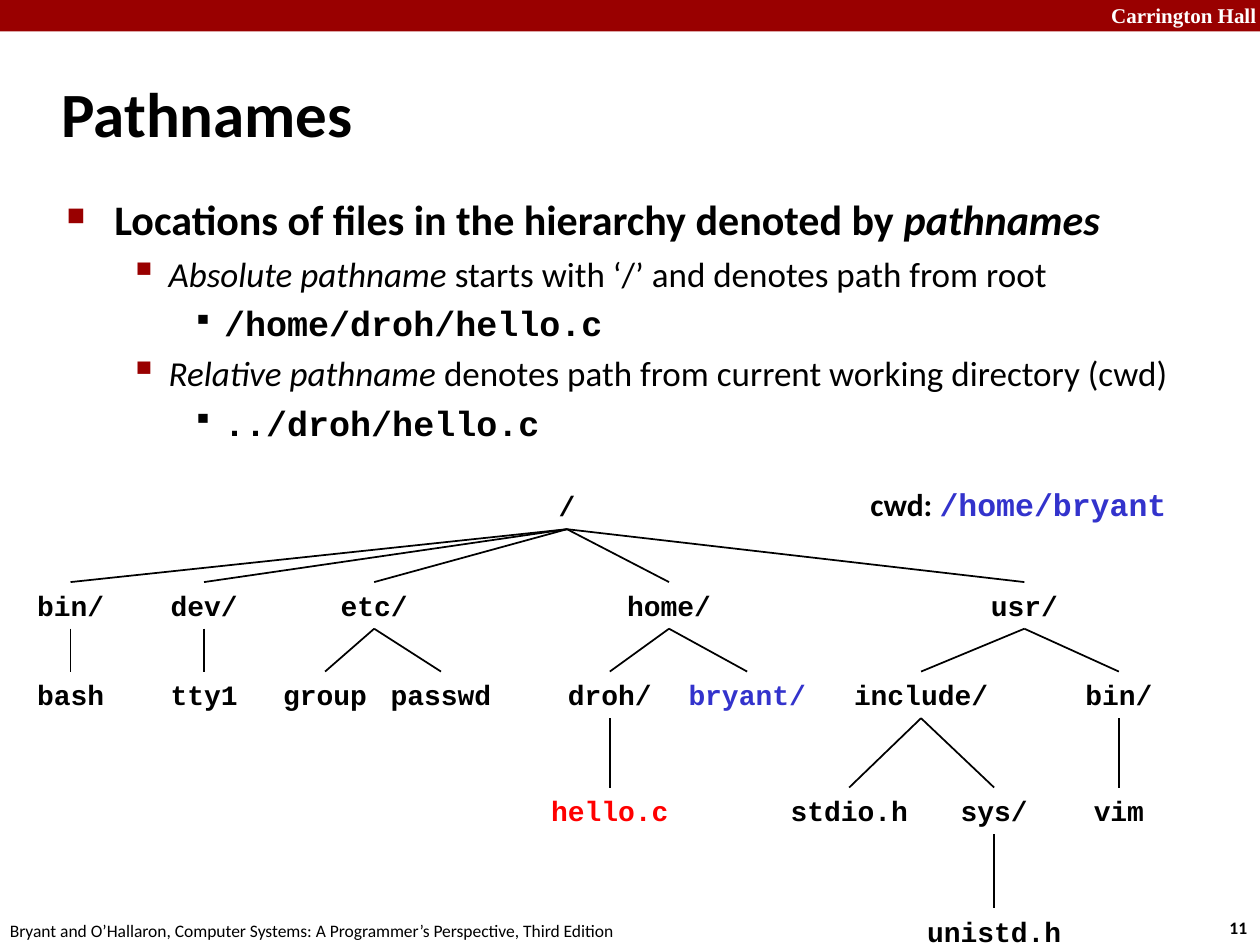
from lxml.etree import SubElement
from pptx import Presentation
from pptx.dml.color import RGBColor
from pptx.enum.shapes import MSO_CONNECTOR, MSO_SHAPE
from pptx.enum.text import MSO_ANCHOR, PP_ALIGN
from pptx.oxml.ns import qn
from pptx.util import Inches, Pt

COLORS = {"red bar": "990000", "white": "FFFFFF", "black": "000000",
          "blue": "3333CC", "red": "FF0000"}
CELL = Inches(0.1)  # the grid has 100 columns and 75 rows

presentation = Presentation()
presentation.slide_width = 100 * CELL
presentation.slide_height = 75 * CELL
slide = presentation.slides.add_slide(presentation.slide_layouts[6])


def add_run(paragraph, text, size, color="black", **formats):
    run = paragraph.add_run()
    run.text = text
    run.font.color.rgb = RGBColor.from_string(COLORS[color])
    for name, value in ({"name": "Calibri", "size": Pt(size)} | formats).items():
        setattr(run.font, name, value)


def add_box(column, row, columns, rows, wrap=False):
    box = slide.shapes.add_textbox(*(round(n * CELL) for n in (column, row, columns, rows)))
    box.text_frame.word_wrap = wrap
    return box.text_frame


# Header bar
bar = slide.shapes.add_shape(MSO_SHAPE.RECTANGLE, 0, 0, 100 * CELL, round(2.5 * CELL))
bar.shadow.inherit = False
bar.fill.solid()
bar.fill.fore_color.rgb = RGBColor.from_string(COLORS["red bar"])
bar.line.fill.background()
header = add_box(86.4, -0.3, 14.3, 3, wrap=True).paragraphs[0]
header.alignment = PP_ALIGN.RIGHT
add_run(header, "Carrington Hall", 12, "white", name="Times New Roman", bold=True)

# Footer and page number
add_run(add_box(-0.2, 72.5, 50.8, 2.7).paragraphs[0],
        "Bryant and O’Hallaron, Computer Systems: A Programmer’s Perspective, Third Edition", 10)
add_run(add_box(96.6, 72.3, 3.7, 2.7).paragraphs[0], "11", 10, bold=True)

# Title
title = add_box(3.9, 4.8, 83, 8.3, wrap=True)
title.vertical_anchor = MSO_ANCHOR.MIDDLE
add_run(title.paragraphs[0], "Pathnames", 36, bold=True)

# Bulleted text: each level has margin, hang, size, bullet, its percentage and colour
LEVELS = [
    (3.8, 3.8, 24, "■", 60, "red bar"),
    (8.1, 3.1, 20, "▪", 110, "red bar"),
    (12.5, 2.5, 20, "▪", 80, "black"),
]
BOLD, ITALIC = {"bold": True}, {"italic": True}
CODE = {"name": "Courier New", "bold": True}
POINTS = [
    (0, [("Locations of files in the hierarchy denoted by ", BOLD),
         ("pathnames", BOLD | ITALIC)]),
    (1, [("Absolute pathname ", ITALIC), ("starts with ‘/’ and denotes path from root", {})]),
    (2, [("/home/droh/hello.c", CODE)]),
    (1, [("Relative pathname ", ITALIC),
         ("denotes path from current working directory (cwd)", {})]),
    (2, [("../droh/hello.c", CODE)]),
]
body = add_box(4.3, 14.9, 93.2, 20.9, wrap=True)
for index, (level, runs) in enumerate(POINTS):
    margin, hang, size, bullet, percent, color = LEVELS[level]
    paragraph = body.add_paragraph() if index else body.paragraphs[0]
    paragraph.level = level
    paragraph.space_before = Pt(round(size * 0.22, 1))
    properties = paragraph._p.get_or_add_pPr()
    properties.set("marL", str(round(margin * CELL)))
    properties.set("indent", str(round(-hang * CELL)))
    bullet_color = SubElement(properties, qn("a:buClr"))
    SubElement(bullet_color, qn("a:srgbClr"), val=COLORS[color])
    SubElement(properties, qn("a:buSzPct"), val=str(percent * 1000))
    SubElement(properties, qn("a:buChar"), char=bullet)
    for text, formats in runs:
        add_run(paragraph, text, size, **formats)

# Current working directory
cwd = add_box(68.1, 38, 26.7, 4).paragraphs[0]
add_run(cwd, "cwd: ", 18, bold=True)
add_run(cwd, "/home/bryant", 18, "blue", **CODE)

# Directory tree: centre column, depth, label, index of the parent
ROWS = [38.3, 46.2, 53.3, 62.5, 72.1]
LABEL_ROWS = 3.7
NODES = [
    (45, 0, "/", None),
    (5.6, 1, "bin/", 0), (16.2, 1, "dev/", 0), (29.7, 1, "etc/", 0),
    (53.1, 1, "home/", 0), (81.3, 1, "usr/", 0),
    (5.6, 2, "bash", 1), (16.2, 2, "tty1", 2), (25.8, 2, "group", 3),
    (35, 2, "passwd", 3), (48.4, 2, "droh/", 4), (59.3, 2, "bryant/", 4),
    (73.1, 2, "include/", 5), (88.8, 2, "bin/", 5),
    (48.4, 3, "hello.c", 10), (67.4, 3, "stdio.h", 12), (78.9, 3, "sys/", 12),
    (88.8, 3, "vim", 13),
    (78.9, 4, "unistd.h", 16),
]
HIGHLIGHTS = {"bryant/": "blue", "hello.c": "red"}
for center, depth, label, parent in NODES:
    columns = 2 + 1.34 * len(label)
    paragraph = add_box(center - columns / 2, ROWS[depth], columns, LABEL_ROWS).paragraphs[0]
    paragraph.alignment = PP_ALIGN.CENTER
    add_run(paragraph, label, 16, HIGHLIGHTS.get(label, "black"), **CODE)
    if parent is None:
        continue
    parent_center, parent_depth = NODES[parent][:2]
    ends = (parent_center, ROWS[parent_depth] + LABEL_ROWS, center, ROWS[depth])
    branch = slide.shapes.add_connector(MSO_CONNECTOR.STRAIGHT, *(round(n * CELL) for n in ends))
    branch.line.color.rgb = RGBColor.from_string(COLORS["black"])
    branch.line.width = Pt(1)
    SubElement(branch._element.spPr, qn("a:effectLst"))

presentation.save("out.pptx")
